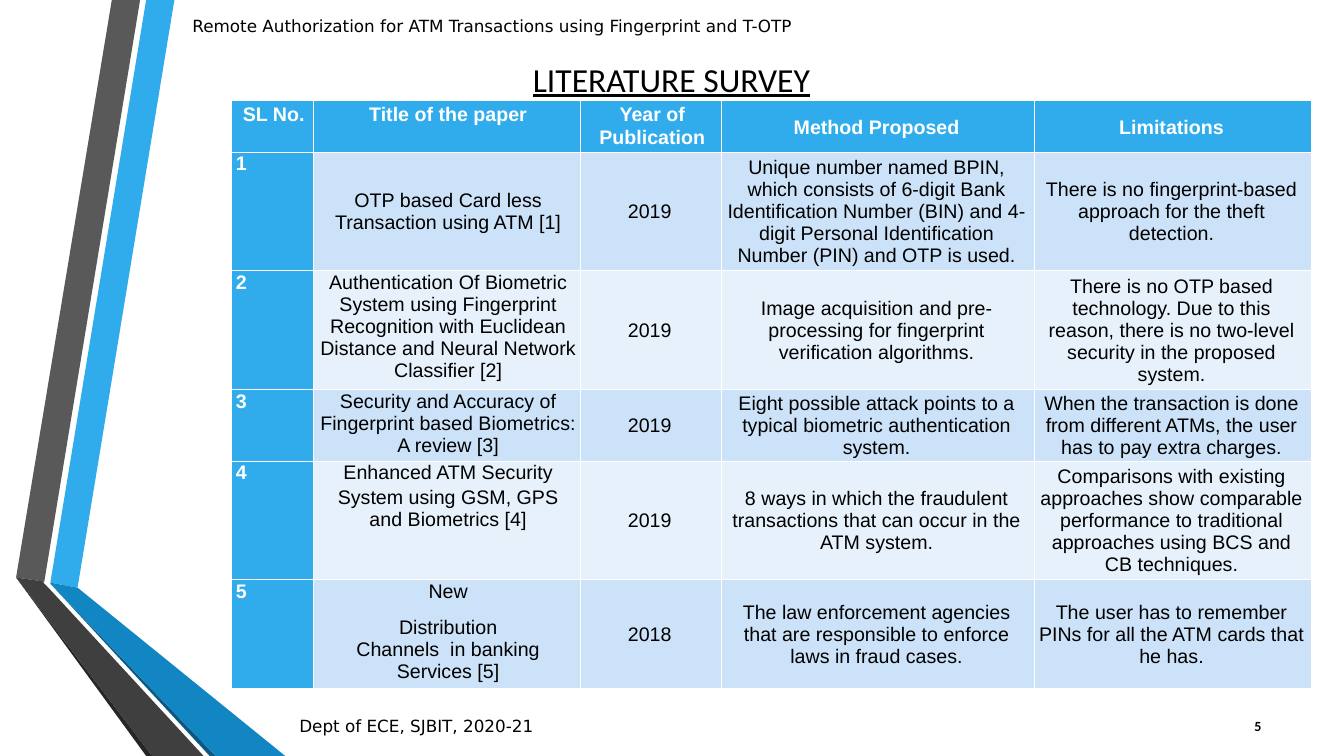
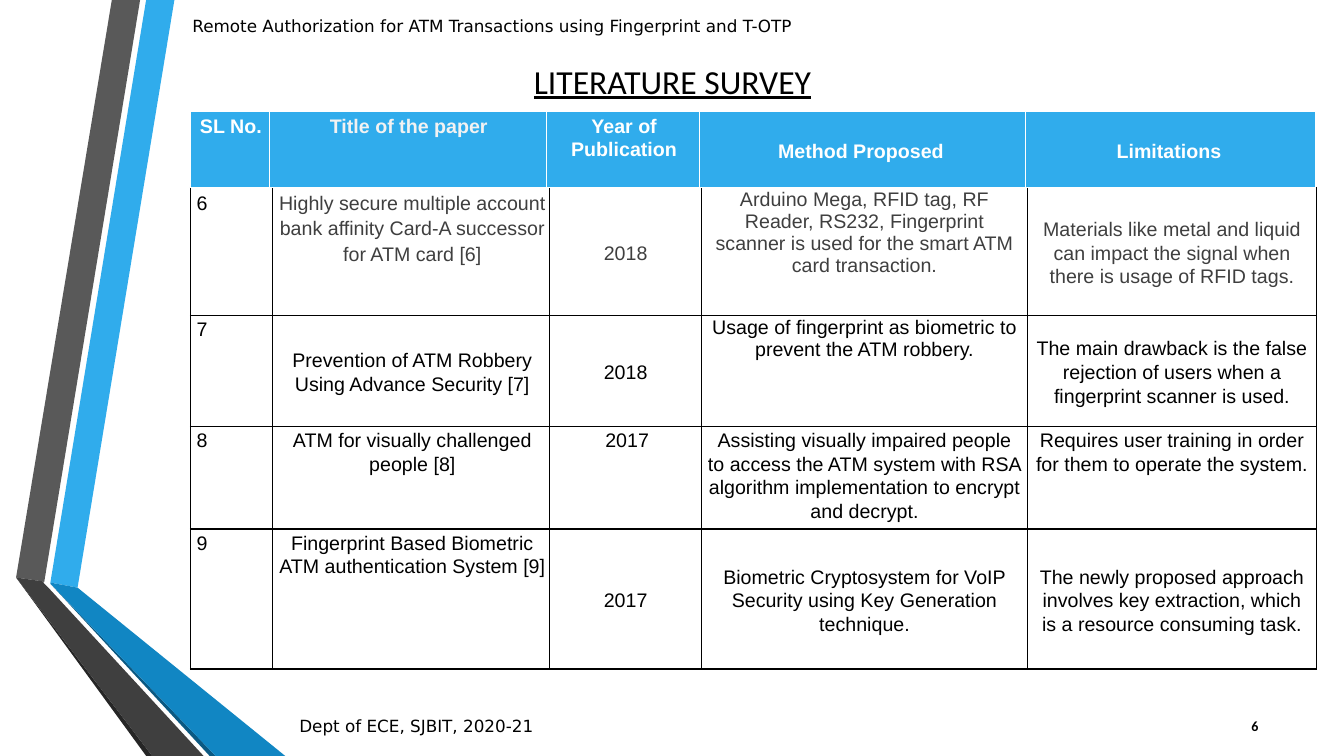
from pptx import Presentation
from pptx import util as u
from pptx.dml.color import RGBColor
from pptx.enum import text as t
from pptx.oxml import parse_xml
from pptx.oxml.ns import nsdecls

THEME = dict(
    blue="30ACEC", white="FFFFFF", pale="F2F2F2", black="000000", dark="3F3F3F",
    band=("CCE2F8", "E7F1FB"),
    font="Arial", head="Calibri", note="DejaVu Sans",
    title=24, cell=14, foot=12, page=10,
)
ALIGN = dict(l=t.PP_ALIGN.LEFT, c=t.PP_ALIGN.CENTER, r=t.PP_ALIGN.RIGHT)
ANCHOR = dict(t=t.MSO_ANCHOR.TOP, m=t.MSO_ANCHOR.MIDDLE)

TITLE = "LITERATURE SURVEY"
HEADER = "Remote Authorization for ATM Transactions using Fingerprint and T-OTP"
FOOTER = "Dept of ECE, SJBIT, 2020-21"

RIBBONS = [
    ("30ACEC", [(0.5, 5.78), (0.77, 5.83), (1.73, 0), (1.45, 0)]),
    ("595959", [(1.39, 0), (1.11, 0), (0.16, 5.73), (0.44, 5.77)]),
    ("262626", [(0.16, 5.73), (1.45, 7.5), (1.51, 7.5)]),
    ("0B5982", [(0.5, 5.79), (2.08, 7.5), (2.14, 7.5)]),
    ("1186C3", [(0.5, 5.79), (2.14, 7.5), (2.83, 7.5), (0.77, 5.83), (0.5, 5.78)]),
    ("3F3F3F", [(2.02, 7.5), (0.48, 5.83), (0.43, 5.78), (0.44, 5.77),
                (0.16, 5.73), (1.51, 7.5)]),
]

HEADS = ["SL No.", "Title of the paper", "Year of Publication",
         "Method Proposed", "Limitations"]
HEAD_ANCHORS = "tttmm"

# A cell is a string, or a list of (paragraph, points before it).
EARLY = [
    ("tmmmm", ["1", "OTP based Card less Transaction using ATM [1]", "2019",
               "Unique number named BPIN, which consists of 6-digit Bank Identification "
               "Number (BIN) and 4-digit Personal Identification Number (PIN) and OTP is used.",
               "There is no fingerprint-based approach for the theft detection."]),
    ("ttmmm", ["2", "Authentication Of Biometric System using Fingerprint Recognition "
               "with Euclidean Distance and Neural Network Classifier [2]", "2019",
               "Image acquisition and pre-processing for fingerprint verification algorithms.",
               "There is no OTP based technology. Due to this reason, there is no "
               "two-level security in the proposed system."]),
    ("ttmmm", ["3", [("Security and Accuracy of", 0),
                     ("Fingerprint based Biometrics: A review [3]", 0)], "2019",
               "Eight possible attack points to a typical biometric authentication system.",
               "When the transaction is done from different ATMs, the user has to pay "
               "extra charges."]),
    ("ttmmm", ["4", [("Enhanced ATM Security", 0), ("System using GSM, GPS", 2),
                     ("and Biometrics [4]", 0)], "2019",
               "8 ways in which the fraudulent transactions that can occur in the ATM system.",
               "Comparisons with existing approaches show comparable performance to "
               "traditional approaches using BCS and CB techniques."]),
    ("ttmmm", ["5", [("New", 0), ("Distribution", 10),
                     ("Channels  in banking Services [5]", 0)], "2018",
               "The law enforcement agencies that are responsible to enforce laws in fraud cases.",
               "The user has to remember PINs for all the ATM cards that he has."]),
]
LATE = [
    ("ttmtm", ["6", "Highly secure multiple account bank affinity Card-A successor "
               "for ATM card [6]", "2018",
               "Arduino Mega, RFID tag, RF Reader, RS232, Fingerprint scanner is used "
               "for the smart ATM card transaction.",
               "Materials like metal and liquid can impact the signal when there is "
               "usage of RFID tags."]),
    ("tmmtm", ["7", "Prevention of ATM Robbery Using Advance Security [7]", "2018",
               "Usage of fingerprint as biometric to prevent the ATM robbery.",
               "The main drawback is the false rejection of users when a fingerprint "
               "scanner is used."]),
    ("ttttt", ["8", "ATM for visually challenged people [8]", "2017",
               "Assisting visually impaired people to access the ATM system with RSA "
               "algorithm implementation to encrypt and decrypt.",
               "Requires user training in order for them to operate the system."]),
    ("ttmmm", ["9", "Fingerprint Based Biometric ATM authentication System [9]", "2017",
               "Biometric Cryptosystem for VoIP Security using Key Generation technique.",
               "The newly proposed approach involves key extraction, which is a resource "
               "consuming task."]),
]


def paint(fill, color):
    fill.solid()
    fill.fore_color.rgb = RGBColor.from_string(color)


def write(frame, body, size, font, color="black", align="l", line=None, **style):
    """Fill a text frame with one or more evenly formatted paragraphs."""
    paras = [(body, 0)] if isinstance(body, str) else body
    for i, (words, gap) in enumerate(paras):
        para = frame.add_paragraph() if i else frame.paragraphs[0]
        para.alignment = ALIGN[align]
        para.space_before = u.Pt(gap)
        if line:
            para.line_spacing = line
        run = para.add_run()
        run.text = words
        run.font.color.rgb = RGBColor.from_string(THEME[color])
        look = dict(size=u.Pt(THEME[size]), name=THEME[font], **style)
        for key, value in look.items():
            setattr(run.font, key, value)


def label(slide, box, body, size, font, anchor="m", **look):
    frame = slide.shapes.add_textbox(*map(u.Inches, box)).text_frame
    frame.word_wrap = True
    frame.vertical_anchor = ANCHOR[anchor]
    write(frame, body, size, font, **look)


def edge(cell, color, width):
    """Draw all four borders of a cell."""
    props = cell._tc.get_or_add_tcPr()
    for i, side in enumerate("LRTB"):
        props.insert(i, parse_xml(
            f'<a:ln{side} {nsdecls("a")} w="{u.Pt(width)}"><a:solidFill>'
            f'<a:srgbClr val="{color}"/></a:solidFill></a:ln{side}>'))


def grid(slide, spot, cols, rows, pad, wide, headed=True):
    """Add a table; rows hold (height, anchors, cell texts, style rule by column).

    Pad is left, right, top; wide is the right margin of the long-text columns.
    White borders come from the table style.
    """
    size = (sum(cols), sum(row[0] for row in rows))
    table = slide.shapes.add_table(
        len(rows), len(cols), *map(u.Inches, spot + size)).table
    table.first_row, table.horz_banding = headed, False
    for col, width in zip(table.columns, cols):
        col.width = u.Inches(width)
    for r, (height, anchors, texts, rule) in enumerate(rows):
        table.rows[r].height = u.Inches(height)
        for c, body in enumerate(texts):
            cell = table.cell(r, c)
            fill, look = rule(c)
            left, right, top = pad
            roomy = c > 2 or c == 2 and anchors[c] == "m"
            margins = dict(left=left, right=wide if roomy else right, top=top, bottom=0)
            for key, gap in margins.items():
                setattr(cell, "margin_" + key, u.Inches(gap))
            cell.vertical_anchor = ANCHOR[anchors[c]]
            write(cell.text_frame, body, "cell", "font", **look)
            if fill:
                paint(cell.fill, fill)
            else:
                cell.fill.background()
                edge(cell, THEME["black"], 1)


def head_row(height, tint="white"):
    def rule(c):
        return THEME["blue"], dict(color=tint if c == 1 else "white",
                                   align="c", line=1.07, bold=True)
    return height, HEAD_ANCHORS, HEADS, rule


def band_row(i, height, anchors, texts):
    """A shaded row with a blue number cell."""
    def rule(c):
        if c == 0:
            return THEME["blue"], dict(color="white", bold=True)
        return THEME["band"][i % 2], dict(align="c")
    return height, anchors, texts, rule


def plain_row(i, height, anchors, texts):
    """An unfilled row with black rules."""
    def rule(c):
        first = i == 0
        line = 0.99 if c == 3 and i < 2 else 1.15 if first and c < 2 else 1.07
        return None, dict(color="dark" if first and c else "black",
                          align="c" if c else "l", line=line)
    return height, anchors, texts, rule


def body_rows(kind, heights, data):
    return [kind(i, h, *row) for i, (h, row) in enumerate(zip(heights, data))]


def decorate(layout, slide):
    """Draw the ribbons once and keep them on the layout."""
    for color, dots in RIBBONS:
        first, *rest = [tuple(map(u.Inches, dot)) for dot in dots]
        path = slide.shapes.build_freeform(*first, scale=1.0)
        path.add_line_segments(rest, close=True)
        shape = path.convert_to_shape()
        shape.shadow.inherit = False
        paint(shape.fill, color)
        shape.line.fill.background()
        layout.shapes.element.append(shape.element)


def frame_slide(slide, box, page, left):
    title = slide.shapes.title
    for key, value in zip(("left", "top", "width", "height"), box):
        setattr(title, key, u.Inches(value))
    frame = title.text_frame
    frame.auto_size = t.MSO_AUTO_SIZE.NONE
    frame.vertical_anchor = ANCHOR["t"]
    write(frame, TITLE, "title", "head", align="c", underline=True)
    label(slide, (1.81, 0.11, 7.02, 0.3), HEADER, "foot", "note", anchor="t")
    label(slide, (2.87, 7, 7.75, 0.4), FOOTER, "foot", "note")
    label(slide, (left, 7, 0.6, 0.4), page, "page", "head", align="r", bold=True)


def main():
    prs = Presentation()
    prs.slide_width, prs.slide_height = u.Inches(13.33), u.Inches(7.5)
    layout = prs.slide_layouts[5]
    one, two = [prs.slides.add_slide(layout) for _ in range(2)]
    decorate(layout, one)

    frame_slide(one, (2.53, 0.53, 8.26, 0.5), "5", 12.01)
    grid(one, (2.3, 1), (0.81, 2.65, 1.4, 3.1, 2.75),
         [head_row(0.48)] + body_rows(band_row, (1.11, 1.11, 0.68, 1.12, 1.03), EARLY),
         (0.04, 0.02, 0.01), 0.07)

    frame_slide(two, (2.04, 0.55, 9.26, 0.5), "6", 11.98)
    grid(two, (1.89, 1.86), (0.81, 2.75, 1.51, 3.23, 2.87),
         body_rows(plain_row, (1.27, 1.1, 1, 1.39), LATE),
         (0.06, 0.03, 0.02), 0.06, headed=False)
    grid(two, (1.89, 1.11), (0.78, 2.75, 1.52, 3.23, 2.88),
         [head_row(0.75, "pale")], (0.04, 0.02, 0.02), 0.07)
    prs.save("out.pptx")


if __name__ == "__main__":
    main()
